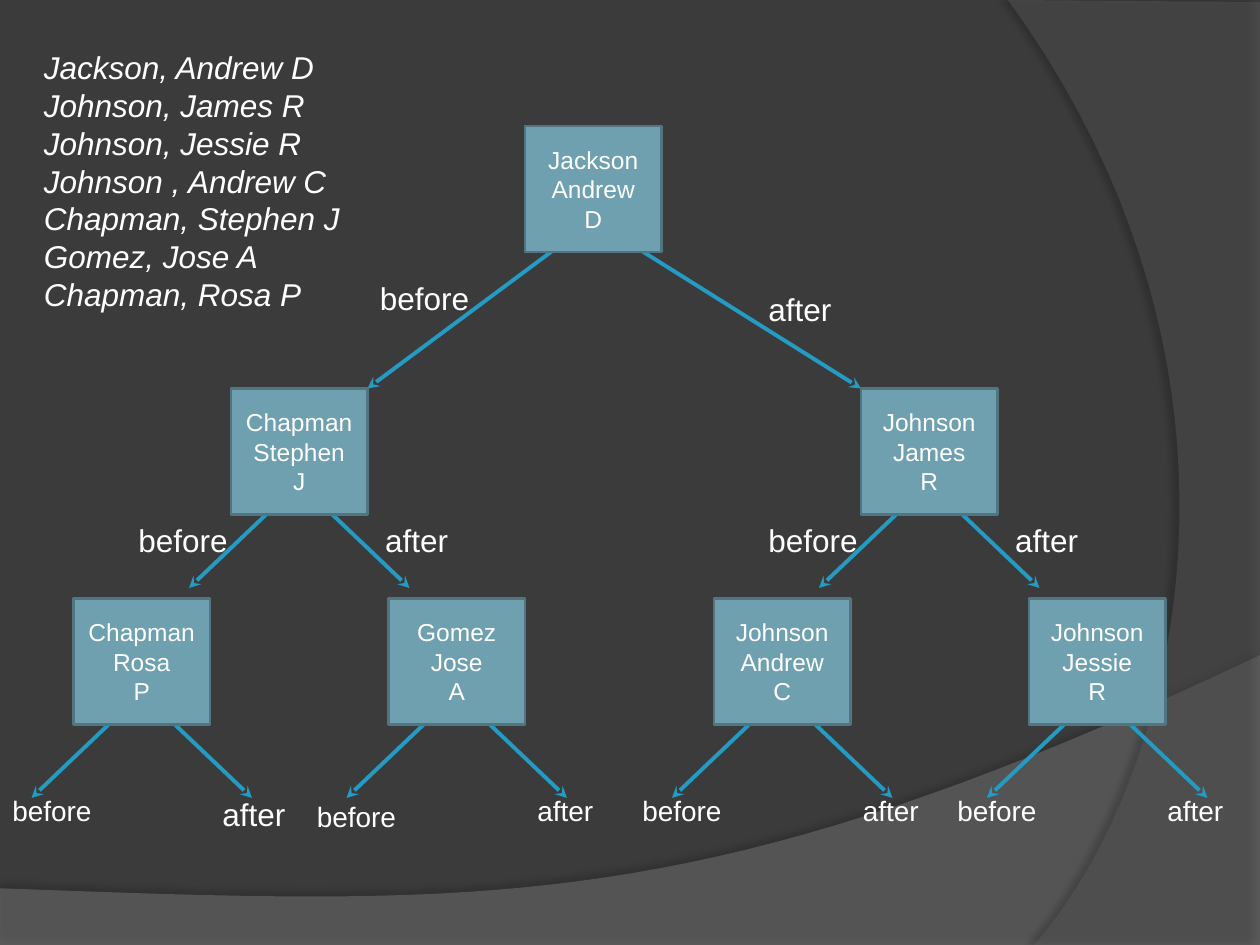
from lxml import etree
from pptx import Presentation
from pptx.dml.color import RGBColor
from pptx.enum.shapes import MSO_CONNECTOR, MSO_SHAPE
from pptx.enum.text import MSO_ANCHOR, MSO_AUTO_SIZE, PP_ALIGN
from pptx.oxml.ns import qn
from pptx.util import Pt

PX = 7620  # EMU per px, 120 px to the inch
STRAIGHT, RECTANGLE = MSO_CONNECTOR.STRAIGHT, MSO_SHAPE.RECTANGLE
LEFT, CENTER = PP_ALIGN.LEFT, PP_ALIGN.CENTER
MIDDLE, GROW = MSO_ANCHOR.MIDDLE, MSO_AUTO_SIZE.SHAPE_TO_FIT_TEXT

COLORS = {
    "background": "3B3B3B", "sweep": "7F7F7F", "corner": "5E5E5E",
    "shadow": "000000", "node": "6EA0B0", "edge": "517682",
    "arrow": "239BC2", "text": "FFFFFF",
}
NODE_WIDTH, NODE_HEIGHT = 130, 120
ARROW_START = 90  # below the top of the node, hidden behind it
LABEL_SIZES = {  # width and height by word and point size
    ("before", 18): (110, 48), ("after", 18): (85, 48),
    ("before", 16): (101, 44), ("after", 16): (78, 44),
}

NAMES = ["Jackson, Andrew D", "Johnson, James R", "Johnson, Jessie R",
         "Johnson , Andrew C", "Chapman, Stephen J", "Gomez, Jose A",
         "Chapman, Rosa P"]

# Arrow tips, from the middle of the node's top: (x, y) for before and after
ROOT_TIPS = ((-215, 250), (255, 250))
CHILD_TIPS = ((-105, 190), (105, 190))

# Words, node corner, arrow tips, labels as (x, y, point size) from the corner
TREE = [
    ("Jackson Andrew D", (500, 120), ROOT_TIPS, (-150, 140, 18), (220, 150, 18)),
    ("Johnson James R", (820, 370), CHILD_TIPS, (-100, 120, 18), (135, 120, 18)),
    ("Johnson Jessie R", (980, 570), CHILD_TIPS, (-80, 180, 16), (120, 180, 16)),
    ("Johnson Andrew C", (680, 570), CHILD_TIPS, (-80, 180, 16), (130, 180, 16)),
    ("Chapman Stephen J", (220, 370), CHILD_TIPS, (-100, 120, 18), (135, 120, 18)),
    ("Gomez Jose A", (370, 570), CHILD_TIPS, (-80, 186, 16), (130, 180, 16)),
    ("Chapman Rosa P", (70, 570), CHILD_TIPS, (-70, 180, 16), (130, 181, 18)),
]


def color(name):
    return RGBColor.from_string(COLORS[name])


def scaled(*lengths):
    return [round(length * PX) for length in lengths]


def write(shape, lines, align=LEFT, **font_format):
    font_format = {"name": "Arial", **font_format}
    for index, line in enumerate(lines):
        frame = shape.text_frame
        para = frame.add_paragraph() if index else frame.paragraphs[0]
        para.alignment = align
        span = para.add_run()
        span.text = line
        for key, value in font_format.items():
            setattr(span.font, key, value)
        span.font.color.rgb = color("text")


def add_text(shapes, box, lines, **font_format):
    text_box = shapes.add_textbox(*scaled(*box))
    text_box.text_frame.word_wrap = False
    text_box.text_frame.auto_size = GROW
    write(text_box, lines, **font_format)


def add_arrow(shapes, start, tip):
    arrow = shapes.add_connector(STRAIGHT, *scaled(*start, *tip))
    arrow.line.color.rgb = color("arrow")
    arrow.line.width = Pt(2.25)
    line = arrow.line._get_or_add_ln()
    etree.SubElement(line, qn("a:tailEnd"), type="stealth")
    etree.SubElement(arrow._element.spPr, qn("a:effectLst"))


def curve(start, control_1, control_2, end, steps=40):
    """Points on a cubic curve, without its start."""
    points = []
    for step in range(1, steps + 1):
        t = step / steps
        weights = ((1 - t) ** 3, 3 * t * (1 - t) ** 2, 3 * t * t * (1 - t), t ** 3)
        corners = (start, control_1, control_2, end)
        points.append(tuple(sum(w * corner[axis] for w, corner in zip(weights, corners))
                            for axis in (0, 1)))
    return points


def add_backdrop(page, points, name, opacity, shadow):
    """Draws one translucent area; shadow is opacity, blur, distance, angle."""
    points = [scaled(*point) for point in points]
    builder = page.shapes.build_freeform(*points[0])
    builder.add_line_segments(points[1:], close=True)
    area = builder.convert_to_shape()
    area.fill.solid()
    area.fill.fore_color.rgb = color(name)
    area.line.fill.background()
    area.shadow.inherit = False
    properties = area._element.spPr
    fill_color = properties.find(qn("a:solidFill")).find(qn("a:srgbClr"))
    etree.SubElement(fill_color, qn("a:alpha"), val=str(opacity * 1000))
    shade, blur, distance, angle = shadow
    outer = etree.SubElement(
        properties.find(qn("a:effectLst")), qn("a:outerShdw"), blurRad=str(Pt(blur)),
        dist=str(Pt(distance)), dir=str(angle * 60000), algn="ctr", rotWithShape="0")
    shadow_color = etree.SubElement(outer, qn("a:srgbClr"), val=COLORS["shadow"])
    etree.SubElement(shadow_color, qn("a:alpha"), val=str(shade * 1000))


def add_background(page, width, height):
    page.background.fill.solid()
    page.background.fill.fore_color.rgb = color("background")
    # Bottom sweep
    right = (width, 624)
    sweep = [(0, 846), (0, height + 1), (width, height + 1), right]
    sweep += curve(right, (671, 875), (469, 863), (0, 846))
    add_backdrop(page, sweep, "sweep", 45, (35, 4, 3.5, 270))
    # Right-hand corner
    foot = (985, height)
    corner = [(width, 2), (width, height), foot]
    corner += curve(foot, (1122, 743), (1222, 360), (960, 0))
    add_backdrop(page, corner, "corner", 40, (45, 4, 4, 180))


def add_node(page, words, corner, tips, before, after):
    """Groups a node with its two arrows and their labels."""
    left, top = corner
    middle = left + NODE_WIDTH / 2
    shapes = page.shapes.add_group_shape().shapes
    # Arrows behind the node
    for x, y in tips:
        add_arrow(shapes, (middle, top + ARROW_START), (middle + x, top + y))
    # Node
    node = shapes.add_shape(RECTANGLE, *scaled(left, top, NODE_WIDTH, NODE_HEIGHT))
    node.shadow.inherit = False
    node.fill.solid()
    node.fill.fore_color.rgb = color("node")
    node.line.color.rgb = color("edge")
    node.line.width = Pt(1.5)
    node.text_frame.vertical_anchor = MIDDLE
    write(node, words.split(), CENTER, size=Pt(14))
    # Labels
    for word, (x, y, size) in (("after", after), ("before", before)):
        box = (left + x, top + y, *LABEL_SIZES[word, size])
        add_text(shapes, box, [word], size=Pt(size))


def main():
    width, height = 1200, 900
    deck = Presentation()
    deck.slide_width, deck.slide_height = scaled(width, height)
    page = deck.slides.add_slide(deck.slide_layouts[6])
    add_background(page, width, height)
    add_text(page.shapes, (30, 40, 308, 266), NAMES, size=Pt(18), italic=True)
    for node in TREE:
        add_node(page, *node)
    deck.save("out.pptx")


if __name__ == "__main__":
    main()
